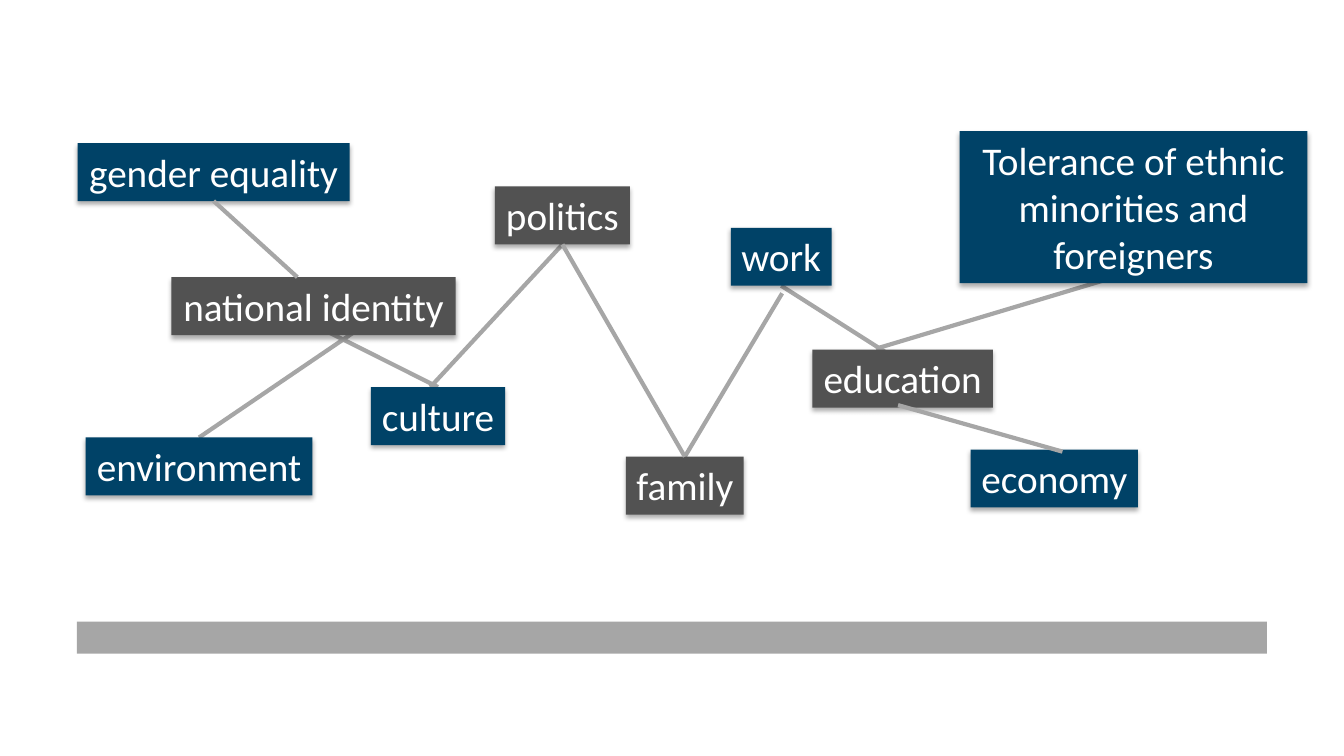
from lxml.etree import SubElement
from pptx import Presentation
from pptx.dml.color import RGBColor
from pptx.enum.shapes import MSO_CONNECTOR, MSO_SHAPE
from pptx.enum.text import MSO_ANCHOR, MSO_AUTO_SIZE, PP_ALIGN
from pptx.oxml import parse_xml
from pptx.oxml.ns import nsdecls, qn
from pptx.util import Pt

BLUE = RGBColor(0x00, 0x42, 0x67)
DARK = RGBColor(0x52, 0x52, 0x52)
GREY = RGBColor(0xA6, 0xA6, 0xA6)
WHITE = RGBColor(0xFF, 0xFF, 0xFF)
TOP, BOTTOM = 0, 2
SHADOW = (
    f'<a:effectLst {nsdecls("a")}>'
    f'<a:outerShdw blurRad="{Pt(3.5)}" dist="{Pt(2.2)}" dir="5400000" rotWithShape="0">'
    '<a:srgbClr val="000000"><a:alpha val="32000"/></a:srgbClr>'
    '</a:outerShdw></a:effectLst>'
)

prs = Presentation()
prs.slide_width, prs.slide_height = Pt(960), Pt(540)
slide = prs.slides.add_slide(prs.slide_layouts[6])
shapes = slide.shapes


def add_topic(text, *, left, top, width, height=41.4, fill=BLUE, wrap=False):
    topic = shapes.add_shape(MSO_SHAPE.RECTANGLE, Pt(left), Pt(top), Pt(width), Pt(height))
    topic.fill.solid()
    topic.fill.fore_color.rgb = fill
    topic.line.fill.background()
    topic._element.spPr.append(parse_xml(SHADOW))
    frame = topic.text_frame
    frame.word_wrap = wrap
    frame.auto_size = MSO_AUTO_SIZE.SHAPE_TO_FIT_TEXT
    frame.vertical_anchor = MSO_ANCHOR.TOP
    paragraph = frame.paragraphs[0]
    paragraph.alignment = PP_ALIGN.CENTER
    run = paragraph.add_run()
    run.text = text
    run.font.name = "Calibri"
    run.font.size = Pt(28)
    run.font.color.rgb = WHITE
    return topic


base_bar = shapes.add_shape(MSO_SHAPE.RECTANGLE, Pt(55), Pt(444), Pt(850), Pt(23))
base_bar.shadow.inherit = False
base_bar.fill.solid()
base_bar.fill.fore_color.rgb = GREY
base_bar.line.fill.background()

environment = add_topic("environment", left=61.2, top=312.5, width=162)
identity = add_topic("national identity", left=122.4, top=198, width=203, fill=DARK)
culture = add_topic("culture", left=265, top=276.5, width=95.8)
politics = add_topic("politics", left=353.5, top=133.2, width=96.5, fill=DARK)
family = add_topic("family", left=447.1, top=326.2, width=84.2, fill=DARK)
work = add_topic("work", left=522, top=162.7, width=72)
education = add_topic("education", left=580.3, top=249.8, width=128.9, fill=DARK)
tolerance = add_topic("Tolerance of ethnic minorities and foreigners",
                      left=685.4, top=93.6, width=248.4, height=108.7, wrap=True)
economy = add_topic("economy", left=693.4, top=321.1, width=119.5)
equality = add_topic("gender equality", left=55.4, top=102.2, width=194.4)

links_behind = [
    ((791.3, 199.4), (625.7, 249.1)),
    ((648, 261.4), (work, BOTTOM)),
    ((family, TOP), (558.7, 209.5)),
    ((culture, TOP), (221, 230.4)),
    ((307.4, 276.5), (politics, BOTTOM)),
    ((environment, TOP), (255.6, 235.4)),
]
links_in_front = [
    ((family, TOP), (politics, BOTTOM)),
    ((758.9, 322.6), (641.5, 289.4)),
    ((equality, BOTTOM), (212.4, 198)),
]

for start, end in links_behind + links_in_front:
    link = shapes.add_connector(MSO_CONNECTOR.STRAIGHT, 0, 0, 0, 0)
    if start[0] in shapes:
        link.begin_connect(*start)
    else:
        link.begin_x, link.begin_y = map(Pt, start)
    if end[0] in shapes:
        link.end_connect(*end)
    else:
        link.end_x, link.end_y = map(Pt, end)
    link.line.color.rgb = GREY
    link.line.width = Pt(3)
    SubElement(link._element.spPr, qn("a:effectLst"))
    if (start, end) in links_behind:
        base_bar._element.addprevious(link._element)

prs.save("out.pptx")
